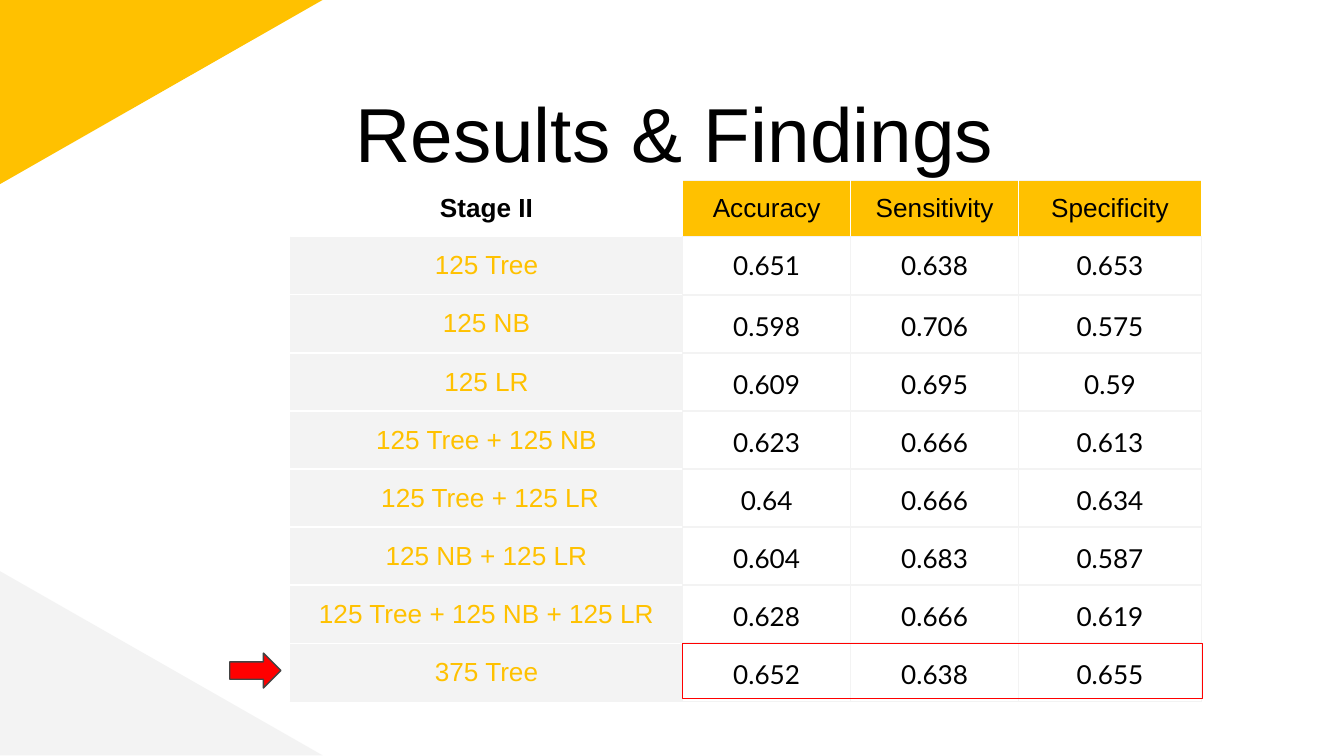
import pptx
import pptx.util
import pptx.dml.color
import pptx.enum.shapes
import pptx.enum.text
import pptx.oxml
import pptx.oxml.ns

Inches, Pt = pptx.util.Inches, pptx.util.Pt
RGBColor = pptx.dml.color.RGBColor
Shape = pptx.enum.shapes.MSO_SHAPE
AMBER = RGBColor(0xFF, 0xC1, 0x00)
PALE = RGBColor(0xF3, 0xF3, 0xF3)
WHITE = RGBColor(0xFF, 0xFF, 0xFF)
BLACK = RGBColor(0, 0, 0)
RED = RGBColor(0xFF, 0, 0)
SLATE = RGBColor(0x43, 0x43, 0x43)

deck = pptx.Presentation()
deck.slide_width = Inches(10)
deck.slide_height = deck.slide_width * 9 // 16
page = deck.slides.add_slide(deck.slide_layouts[6])


def add_figure(kind, place, fill=None, line=None):
    figure = page.shapes.add_shape(kind, *[Inches(length) for length in place])
    figure.shadow.inherit = False
    if fill is None:
        figure.fill.background()
    else:
        figure.fill.solid()
        figure.fill.fore_color.rgb = fill
    if line is None:
        figure.line.fill.background()
    else:
        figure.line.color.rgb = line
        figure.line.width = Pt(0.75)
    return figure


def add_text(frame, words, size, font, color, bold=False):
    para = frame.paragraphs[0]
    para.alignment = pptx.enum.text.PP_ALIGN.CENTER
    span = para.add_run()
    span.text = words
    span.font.size, span.font.name, span.font.bold = Pt(size), font, bold
    span.font.color.rgb = color
    return para


top_corner = add_figure(Shape.RIGHT_TRIANGLE, (0, 0, 2.4, 1.37), AMBER)
top_corner.rotation = 180
top_corner.element.spPr.xfrm.set("flipH", "1")
add_figure(Shape.RIGHT_TRIANGLE, (0, 4.25, 2.4, 1.37), PALE)

title = page.shapes.add_textbox(Inches(0.59), Inches(0.54), Inches(8.86), Inches(0.63))
title.text_frame.word_wrap = True
title.text_frame.margin_top = title.text_frame.margin_bottom = Inches(0.1)
add_text(title.text_frame, "Results & Findings", 41, "Arial", BLACK)

rows = [
    ("Stage II", "Accuracy", "Sensitivity", "Specificity"),
    ("125 Tree", "0.651", "0.638", "0.653"),
    ("125 NB", "0.598", "0.706", "0.575"),
    ("125 LR", "0.609", "0.695", "0.59"),
    ("125 Tree + 125 NB", "0.623", "0.666", "0.613"),
    (" 125 Tree + 125 LR", "0.64", "0.666", "0.634"),
    ("125 NB + 125 LR", "0.604", "0.683", "0.587"),
    ("125 Tree + 125 NB + 125 LR", "0.628", "0.666", "0.619"),
    ("375 Tree", "0.652", "0.638", "0.655"),
]
widths = [2.92, 1.25, 1.25, 1.36]
holder = page.shapes.add_table(len(rows), len(widths), Inches(2.16), Inches(1.34),
                               Inches(sum(widths)), Inches(3.88))
table = holder.table
table.first_row = table.horz_banding = False
for column, width in zip(table.columns, widths):
    column.width = Inches(width)

for r, values in enumerate(rows):
    table.rows[r].height = Inches(0.41) if r == 0 else Pt(31.1)
    for c, words in enumerate(values):
        cell = table.cell(r, c)
        header, label = r == 0, c == 0
        corner = header and label
        number = not header and not label
        tight = number and r > 1
        cell.vertical_anchor = pptx.enum.text.MSO_ANCHOR.MIDDLE
        cell.margin_left = cell.margin_right = Inches(0.03 if tight else 0.1)
        cell.margin_top = cell.margin_bottom = Pt(1.44 if tight else 6.8)
        color = AMBER if label and not header else BLACK
        para = add_text(cell.text_frame, words, 14, "Lato" if number else "Arial", color, corner)
        if tight:
            para.line_spacing = 1.15
        if corner or number:
            cell.fill.background()
        else:
            cell.fill.solid()
            cell.fill.fore_color.rgb = AMBER if header else PALE

        edges = {"L": PALE, "R": PALE, "T": PALE, "B": PALE}
        if corner:
            edges = dict.fromkeys(edges)
        elif header:
            edges["L"] = WHITE if c > 1 else None
            edges["R"] = WHITE if c < 3 else None
        elif label:
            edges["T"] = WHITE if r > 1 else None
            edges["B"] = WHITE if r < len(rows) - 1 else PALE
        properties = cell._tc.get_or_add_tcPr()
        for index, (side, edge) in enumerate(edges.items()):
            paint = "<a:noFill/>" if edge is None else f'<a:solidFill><a:srgbClr val="{edge}"/></a:solidFill>'
            width = Pt(0.83 if tight else 0.75)
            properties.insert(index, pptx.oxml.parse_xml(
                f'<a:ln{side} {pptx.oxml.ns.nsdecls("a")} w="{width}">{paint}</a:ln{side}>'))

add_figure(Shape.RIGHT_ARROW, (1.71, 4.86, 0.38, 0.26), RED, SLATE)
add_figure(Shape.RECTANGLE, (5.08, 4.79, 3.87, 0.41), line=RED)

deck.save("out.pptx")
